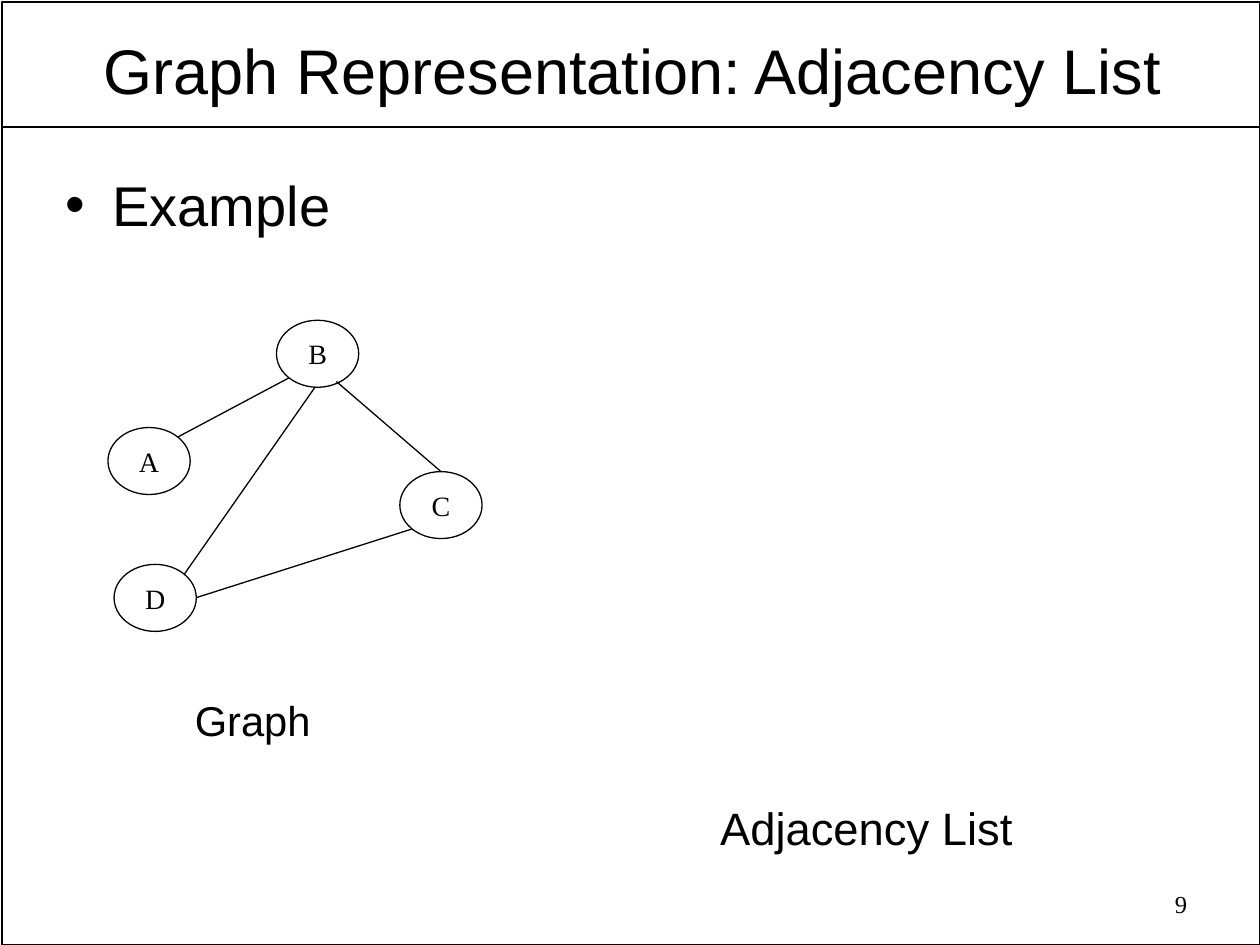
from lxml.etree import SubElement
from pptx import Presentation
from pptx.dml.color import RGBColor
from pptx.enum.shapes import MSO_CONNECTOR, MSO_SHAPE
from pptx.enum.text import MSO_ANCHOR, PP_ALIGN
from pptx.oxml.ns import qn
from pptx.util import Pt

COLORS = {"ink": "000000", "paper": "FFFFFF"}
INK = RGBColor.from_string(COLORS["ink"])

prs = Presentation()
prs.slide_width, prs.slide_height = Pt(720), Pt(540)
s = prs.slides.add_slide(prs.slide_layouts[6])
s.background.fill.solid()
s.background.fill.fore_color.rgb = RGBColor.from_string(COLORS["paper"])


def write(shape, text, size, font, align):
    """Set one line of text in a shape and return its paragraph."""
    p = shape.text_frame.paragraphs[0]
    p.alignment = align
    r = p.add_run()
    r.text = text
    r.font.size, r.font.name = Pt(size), font
    r.font.color.rgb = INK
    return p


def add_line(x1, y1, x2, y2, width):
    line = s.shapes.add_connector(MSO_CONNECTOR.STRAIGHT, Pt(x1), Pt(y1), Pt(x2), Pt(y2))
    line.line.color.rgb = INK
    line.line.width = Pt(width)
    SubElement(line._element.spPr, qn("a:effectLst"))


# Frame and title rule
frame = s.shapes.add_shape(MSO_SHAPE.RECTANGLE, Pt(1), Pt(1), Pt(719), Pt(539))
frame.shadow.inherit = False
frame.fill.background()
frame.line.color.rgb = INK
frame.line.width = Pt(1)
add_line(1, 72.5, 719.5, 72.5, 1)

# Texts: box, wording, size, font, alignment
texts = {
    "title": ((2.9, 13.7, 717, 47.5), "Graph Representation: Adjacency List", 36, "Arial", PP_ALIGN.CENTER),
    "bullet": ((30.2, 90.7, 233.3, 53.3), "Example", 32, "Arial", PP_ALIGN.LEFT),
    "number": ((517, 504.7, 168.5, 26), "9", 14, "Times New Roman", PP_ALIGN.RIGHT),
    "graph": ((39.6, 393.8, 209.5, 38.2), "Graph", 23.8, "Arial", PP_ALIGN.CENTER),
    "list": ((347.8, 453.6, 294.5, 38.9), "Adjacency List", 25.9, "Arial", PP_ALIGN.CENTER),
}
for name, (box, *style) in texts.items():
    tb = s.shapes.add_textbox(*map(Pt, box))
    tf = tb.text_frame
    tf.word_wrap = True
    p = write(tb, *style)
    if name == "title":
        tf.vertical_anchor = MSO_ANCHOR.BOTTOM
        tf.margin_left = tf.margin_right = Pt(5)
        tf.margin_bottom = 0
    elif name == "bullet":
        tf.margin_top = Pt(6.6)
        pPr = p._p.get_or_add_pPr()
        pPr.set("marL", str(Pt(27)))
        pPr.set("indent", str(-Pt(27)))
        SubElement(pPr, qn("a:buFont"), typeface="Arial")
        SubElement(pPr, qn("a:buChar"), char="•")

# Graph nodes
nodes = {"A": (61.7, 244.3), "D": (65.2, 322.5), "B": (158, 183), "C": (228.5, 269.5)}
for label, (x, y) in nodes.items():
    node = s.shapes.add_shape(MSO_SHAPE.OVAL, Pt(x), Pt(y), Pt(47), Pt(38.3))
    node.shadow.inherit = False
    node.fill.background()
    node.line.color.rgb = INK
    node.line.width = Pt(0.75)
    tf = node.text_frame
    tf.word_wrap = False
    tf.vertical_anchor = MSO_ANCHOR.MIDDLE
    write(node, label, 16, "Times New Roman", PP_ALIGN.CENTER)

# Graph edges: B-A, C-B, B-D, C-D
edges = [
    (165, 216, 101.7, 249.7),
    (252, 269.5, 192.2, 218),
    (180, 221.3, 105.2, 328.3),
    (235.4, 302.3, 112.2, 341.5),
]
for edge in edges:
    add_line(*edge, 0.75)

prs.save("out.pptx")
